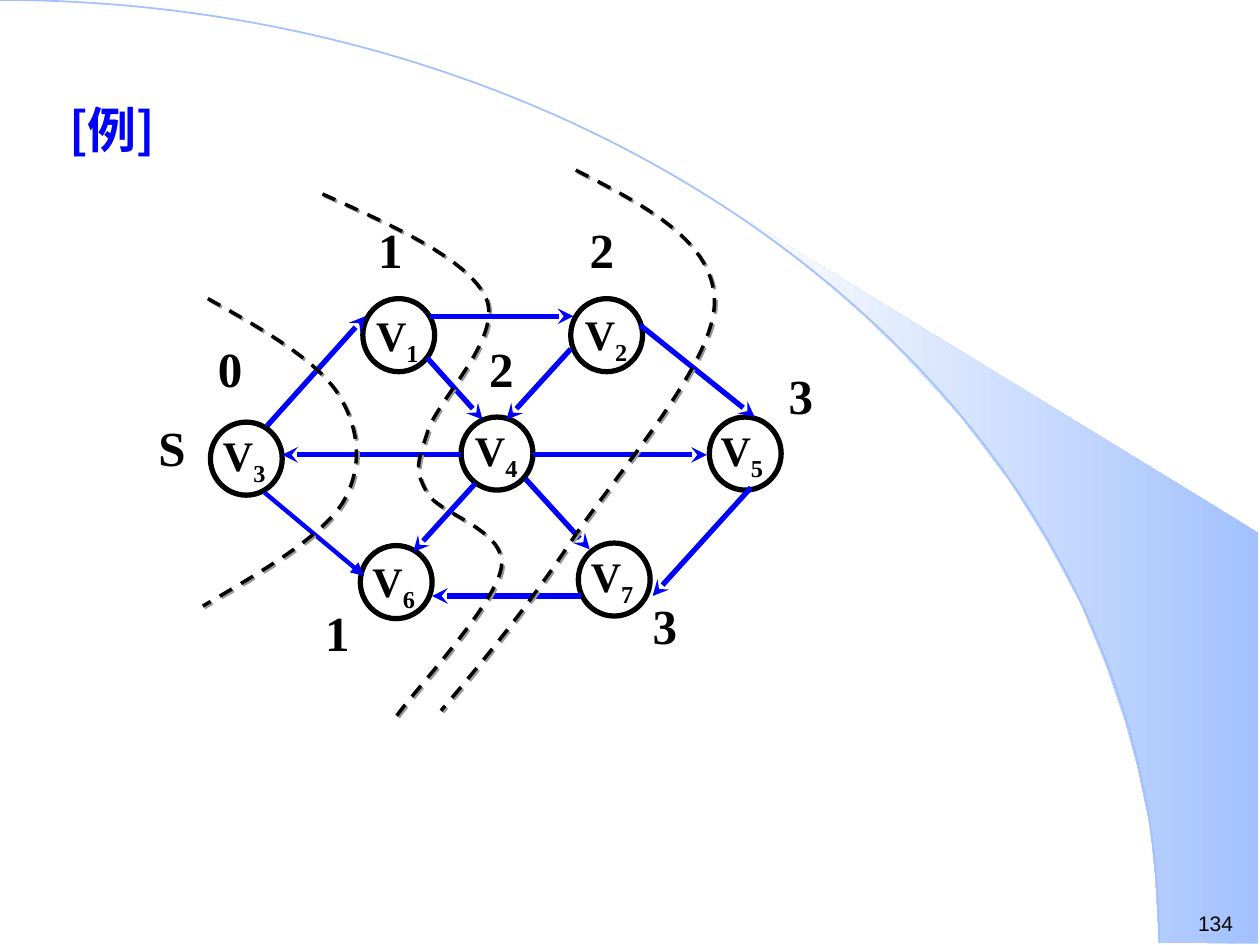
from dataclasses import dataclass

from lxml import etree
from pptx import Presentation
from pptx import util as u
from pptx.dml.color import RGBColor
from pptx.enum import dml, shapes, text
from pptx.oxml.ns import qn

Point = tuple[float, float]
LEFT, CENTER = text.PP_ALIGN.LEFT, text.PP_ALIGN.CENTER


@dataclass(frozen=True)
class Theme:
    ink: str = "000000"
    accent: str = "0000FF"
    swoosh: str = "A2C1FE"
    pale: str = "FEFEFE"
    shadow: str = "999999"
    serif: str = "Times New Roman"
    sans: str = "Arial"
    cjk: str = "Noto Sans CJK SC"
    title_size: int = 28
    level_size: int = 28
    vertex_size: int = 24
    number_size: int = 12


@dataclass(frozen=True)
class Label:
    words: str
    left: float
    top: float
    width: float
    height: float
    align: text.PP_ALIGN = LEFT
    inset: Point = (0, 0)


@dataclass(frozen=True)
class Vertex:
    left: float
    top: float
    index: Label


@dataclass(frozen=True)
class Edge:
    start: Point
    end: Point
    head: str = "stealth"
    weight: float = 3


THEME = Theme()
VERTEX_SIZE = (0.57, 0.58)

TITLE = Label("[例]", 0.27, 0.33, 8.19, 5.54, inset=(0.28, 0.46))
NUMBER = Label("134", 9.41, 7.18, 0.59, 0.3, inset=(0.1, 0.05))
VERTICES = [
    Vertex(4.53, 2.37, Label("2", 4.56, 2.45, 0.5, 0.5, CENTER)),
    Vertex(4.59, 4.31, Label("7", 4.69, 4.37, 0.66, 0.57)),
    Vertex(2.86, 4.33, Label("6", 2.77, 4.41, 0.71, 0.75, CENTER)),
    Vertex(2.88, 2.37, Label("1", 2.77, 2.41, 0.67, 0.56, CENTER, (0.1, 0.05))),
    Vertex(3.66, 3.31, Label("4", 3.77, 3.37, 0.54, 0.52)),
    Vertex(5.63, 3.31, Label("5", 5.72, 3.37, 0.53, 0.84)),
    Vertex(1.67, 3.35, Label("3", 1.77, 3.41, 0.63, 0.68)),
]
LEVELS = [
    Label("1", 2.58, 4.78, 0.45, 0.79),
    Label("1", 3, 1.74, 0.42, 0.52),
    Label("2", 4.68, 1.74, 0.19, 0.35),
    Label("2", 3.73, 2.69, 0.5, 0.53, CENTER),
    Label("3", 5.18, 4.73, 0.34, 0.47),
    Label("3", 6.26, 2.9, 0.51, 0.6),
    Label("0", 1.73, 2.69, 0.52, 0.49),
    Label("S", 1.1, 3.31, 0.53, 0.87, CENTER),
]
EDGES = [
    Edge((2.12, 3.38), (2.9, 2.51)),
    Edge((3.41, 2.51), (4.55, 2.51)),
    Edge((5.08, 2.58), (5.99, 3.31)),
    Edge((5.96, 3.87), (5.18, 4.73)),
    Edge((4.61, 4.73), (3.43, 4.73)),
    Edge((3.66, 3.61), (2.24, 3.61)),
    Edge((4.23, 3.61), (5.61, 3.61)),
    Edge((3.39, 2.84), (3.83, 3.33)),
    Edge((4.53, 2.77), (4.02, 3.33)),
    Edge((3.77, 3.84), (3.28, 4.38)),
    Edge((4.17, 3.8), (4.68, 4.36)),
    Edge((2.1, 3.91), (2.89, 4.57), "triangle", 2.5),
]
FRONTIERS = [
    [(1.65, 2.37), (2.08, 2.61), (2.5, 2.85), (2.68, 3.12), (2.85, 3.39),
     (2.89, 3.7), (2.72, 3.99), (2.54, 4.27), (2.07, 4.54), (1.61, 4.81)],
    [(2.56, 1.54), (3.14, 1.8), (3.72, 2.06), (3.86, 2.37), (3.99, 2.69),
     (3.46, 3.18), (3.39, 3.44), (3.31, 3.69), (3.29, 3.73), (3.39, 3.91),
     (3.48, 4.08), (4.02, 4.2), (3.98, 4.5), (3.94, 4.79), (3.29, 5.48), (3.15, 5.68)],
    [(4.57, 1.35), (5.12, 1.63), (5.68, 1.92), (5.67, 2.41), (5.66, 2.9),
     (4.89, 3.76), (4.53, 4.3), (4.17, 4.84), (3.84, 5.24), (3.5, 5.64)],
]
BAND = [
    (9.2, 7.48), (9.99, 7.49), (9.99, 4.23), (5.89, 1.73), (6.24, 1.99),
    (6.53, 2.22), (6.85, 2.5), (7.16, 2.8), (7.62, 3.3), (8.03, 3.84),
    (8.32, 4.31), (8.58, 4.79), (8.78, 5.28), (8.93, 5.72), (9.03, 6.09),
    (9.13, 6.56), (9.17, 6.96), (9.2, 7.48),
]


def grid(units: float) -> int:
    return u.Cm(units * 2.54)


def colour(code: str) -> RGBColor:
    return RGBColor.from_string(code)


def draw_outline(page, points: list[Point]):
    start, *rest = [(grid(x), grid(y)) for x, y in points]
    builder = page.shapes.build_freeform(*start)
    builder.add_line_segments(rest, close=False)
    shape = builder.convert_to_shape()
    shape.shadow.inherit = False
    return shape


def bend_segments(shape) -> None:
    segments = list(shape._element.iter(qn("a:lnTo")))
    outline = segments[0].getparent()
    for first in range(0, len(segments), 3):
        curve = etree.SubElement(outline, qn("a:cubicBezTo"))
        for segment in segments[first:first + 3]:
            curve.append(segment[0])
            outline.remove(segment)


def stroke(shape, code: str, weight: float) -> None:
    shape.fill.background()
    shape.line.color.rgb = colour(code)
    shape.line.width = u.Pt(weight)


def draw_preset(page, kind, left: float, top: float, width: float, height: float,
                code: str, weight: float) -> None:
    shape = page.shapes.add_shape(kind, *map(grid, (left, top, width, height)))
    shape.shadow.inherit = False
    stroke(shape, code, weight)


def draw_backdrop(page) -> None:
    band = draw_outline(page, BAND)
    band.line.fill.background()
    band.fill.gradient()
    band.fill.gradient_angle = 180
    for stop, code in zip(band.fill.gradient_stops, (THEME.swoosh, THEME.pale)):
        stop.color.rgb = colour(code)
    draw_preset(page, shapes.MSO_SHAPE.ARC, -9.2, 0, 18.4, 14.97, THEME.swoosh, 1)


def draw_frontier(page, controls: list[Point]) -> None:
    curve = draw_outline(page, controls)
    bend_segments(curve)
    stroke(curve, THEME.ink, 2)
    curve.line.dash_style = dml.MSO_LINE.DASH
    effects = curve._element.spPr.find(qn("a:effectLst"))
    shadow = etree.SubElement(effects, qn("a:outerShdw"), blurRad="0",
                              dist=str(u.Pt(1.4)), dir="2700000")
    etree.SubElement(shadow, qn("a:srgbClr"), val=THEME.shadow)


def format_span(span, size: int, face: str, code: str, bold: bool) -> None:
    span.font.size = u.Pt(size)
    span.font.name = face
    span.font.bold = bold
    span.font.color.rgb = colour(code)
    etree.SubElement(span.font._element, qn("a:ea"), typeface=face)


def write_label(page, label: Label, size: int, face: str = THEME.serif,
                code: str = THEME.ink, bold: bool = True, subscript: str = "") -> None:
    box = page.shapes.add_textbox(*map(grid, (label.left, label.top, label.width, label.height)))
    frame = box.text_frame
    frame.margin_left, frame.margin_top = map(grid, label.inset)
    frame.margin_right = frame.margin_bottom = 0
    frame.word_wrap = True
    para = frame.paragraphs[0]
    para.text = label.words
    para.alignment = label.align
    if subscript:
        para.add_run().text = subscript
        para.runs[1].font._element.set("baseline", "-25000")
    for span in para.runs:
        format_span(span, size, face, code, bold)


def draw_vertex(page, vertex: Vertex) -> None:
    draw_preset(page, shapes.MSO_SHAPE.OVAL, vertex.left, vertex.top, *VERTEX_SIZE, THEME.ink, 3)
    place = vertex.index
    name = Label("V", place.left, place.top, place.width, place.height, place.align, place.inset)
    write_label(page, name, THEME.vertex_size, subscript=place.words)


def draw_edge(page, edge: Edge) -> None:
    arrow = page.shapes.add_connector(shapes.MSO_CONNECTOR.STRAIGHT,
                                      *map(grid, edge.start + edge.end))
    arrow.line.color.rgb = colour(THEME.accent)
    arrow.line.width = u.Pt(edge.weight)
    etree.SubElement(arrow.line._get_or_add_ln(), qn("a:tailEnd"), type=edge.head)
    etree.SubElement(arrow._element.spPr, qn("a:effectLst"))


def main() -> None:
    deck = Presentation()
    deck.slide_width, deck.slide_height = grid(10), grid(7.5)
    page = deck.slides.add_slide(deck.slide_layouts[6])
    draw_backdrop(page)
    write_label(page, NUMBER, THEME.number_size, THEME.sans, bold=False)
    write_label(page, TITLE, THEME.title_size, THEME.cjk, THEME.accent)
    for vertex in VERTICES:
        draw_vertex(page, vertex)
    for label in LEVELS:
        write_label(page, label, THEME.level_size)
    for edge in EDGES:
        draw_edge(page, edge)
    for controls in FRONTIERS:
        draw_frontier(page, controls)
    deck.save("out.pptx")


if __name__ == "__main__":
    main()
